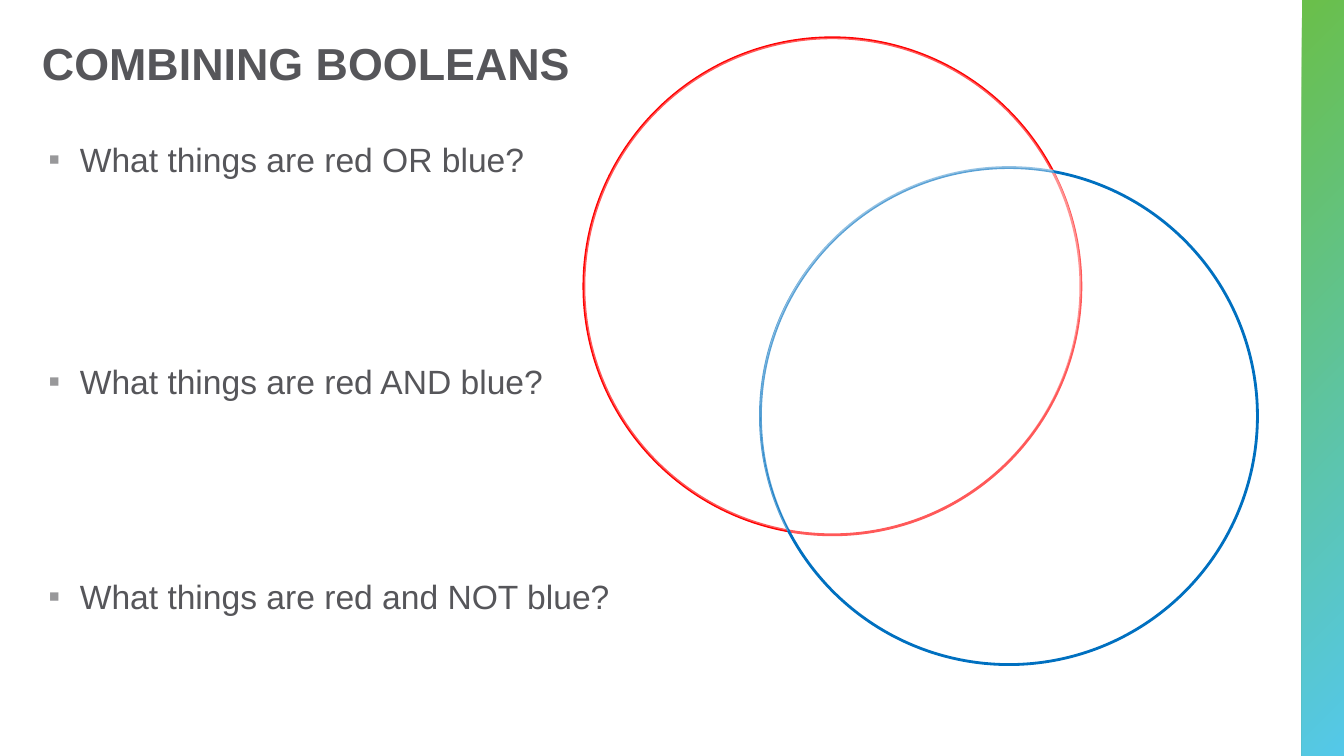
import math
import lxml.etree
import pptx
import pptx.dml.color
import pptx.enum.shapes
import pptx.enum.text
import pptx.oxml.ns
import pptx.util

Pt = pptx.util.Pt
qn = pptx.oxml.ns.qn
COLORS = {"text": "56565A", "bullet": "98989A", "red": "FF0000", "blue": "0070C0",
          "veil": "FFFFFF", "green": "6ABF4B", "cyan": "54C8E8"}
RADIUS = 177.5
CENTERS = {"red": (594.6, 204.5), "blue": (720.7, 297.2)}


def rgb(name):
    return pptx.dml.color.RGBColor.from_string(COLORS[name])


def veil(shape):
    shape.shadow.inherit = False
    shape.fill.solid()
    shape.fill.fore_color.rgb = rgb("veil")
    color = shape.fill._xPr.find(qn("a:solidFill"))[0]
    lxml.etree.SubElement(color, qn("a:alpha"), val="35000")


deck = pptx.Presentation()
deck.slide_width, deck.slide_height = Pt(960), Pt(540)
page = deck.slides.add_slide(deck.slide_layouts[6])

band = page.shapes.add_shape(
    pptx.enum.shapes.MSO_SHAPE.RECTANGLE, Pt(930), Pt(0), Pt(30), Pt(540))
band.shadow.inherit = False
band.line.fill.background()
band.fill.gradient()
band.fill.gradient_angle = 315
for stop, name, position in zip(band.fill.gradient_stops, ("green", "cyan"), (0.01, 0.99)):
    stop.color.rgb = rgb(name)
    stop.position = position

title = ["COMBINING BOOLEANS"]
questions = ["What things are red OR blue?", "What things are red AND blue?",
             "What things are red and NOT blue?"]
middle = pptx.enum.text.MSO_ANCHOR.MIDDLE
top = pptx.enum.text.MSO_ANCHOR.TOP
for lines, gaps, place, inset, anchor, size, bold in (
        (title, [0], (30, 18, 900, 54), 3.6, middle, 32, True),
        (questions, [0, 129.5, 125], (30, 99.4, 414, 395), 0, top, 24, False)):
    box = page.shapes.add_textbox(*map(Pt, place))
    frame = box.text_frame
    frame.word_wrap = True
    frame.vertical_anchor = anchor
    frame.margin_left = frame.margin_right = frame.margin_bottom = 0
    frame.margin_top = Pt(inset)
    for index, (line, gap) in enumerate(zip(lines, gaps)):
        para = frame.add_paragraph() if index else frame.paragraphs[0]
        para.space_before = Pt(gap)
        if bold:
            para.line_spacing = 0.9
        else:
            layout = para._p.get_or_add_pPr()
            layout.set("marL", str(Pt(27)))
            layout.set("indent", str(-Pt(22.5)))
            tint = lxml.etree.SubElement(layout, qn("a:buClr"))
            lxml.etree.SubElement(tint, qn("a:srgbClr"), val=COLORS["bullet"])
            lxml.etree.SubElement(layout, qn("a:buFont"), typeface="Arial")
            lxml.etree.SubElement(layout, qn("a:buChar"), char="▪")
        span = para.add_run()
        span.text = line
        span.font.name = "Arial"
        span.font.size = Pt(size)
        span.font.bold = bold
        span.font.color.rgb = rgb("text")

for name, (x, y) in CENTERS.items():
    circle = page.shapes.add_shape(
        pptx.enum.shapes.MSO_SHAPE.OVAL, Pt(x - RADIUS), Pt(y - RADIUS),
        Pt(2 * RADIUS), Pt(2 * RADIUS))
    veil(circle)
    circle.line.color.rgb = rgb(name)
    circle.line.width = Pt(2)

(red_x, red_y), (blue_x, blue_y) = CENTERS.values()
axis = math.degrees(math.atan2(blue_y - red_y, blue_x - red_x))
half = math.degrees(math.acos(math.dist(*CENTERS.values()) / 2 / RADIUS))
lens = [("red", axis - half, axis + half), ("blue", axis + 180 - half, axis + 180 + half)]
crescent = [("red", axis + half, axis + 360 - half),
            ("blue", axis + 180 + half, axis + 180 - half)]
for arcs, lift in ((lens, 1.4), (crescent, 0)):
    points = []
    for name, start, end in arcs:
        x, y = CENTERS[name]
        quadrants = [turn for turn in range(0, 361, 90)
                     if min(start, end) < turn < max(start, end)]
        stops = sorted([start, *quadrants, end], reverse=start > end)
        for first, last in zip(stops, stops[1:]):
            a, b = math.radians(first), math.radians(last)
            pull = 4 / 3 * math.tan((b - a) / 4)
            for angle, bend in ((a, pull), (b, -pull), (b, 0)):
                points.append(
                    (100 * (x + RADIUS * (math.cos(angle) - bend * math.sin(angle))),
                     100 * (y - lift + RADIUS * (math.sin(angle) + bend * math.cos(angle)))))
    builder = page.shapes.build_freeform(*points[-1], scale=Pt(0.01))
    builder.add_line_segments(points, close=True)
    region = builder.convert_to_shape()
    segments = list(region._element.iter(qn("a:lnTo")))
    for index in range(0, len(points), 3):
        curve = lxml.etree.Element(qn("a:cubicBezTo"))
        segments[index].addprevious(curve)
        for segment in segments[index:index + 3]:
            curve.append(segment[0])
            segment.getparent().remove(segment)
    veil(region)
    region.line.fill.background()

deck.save("out.pptx")
